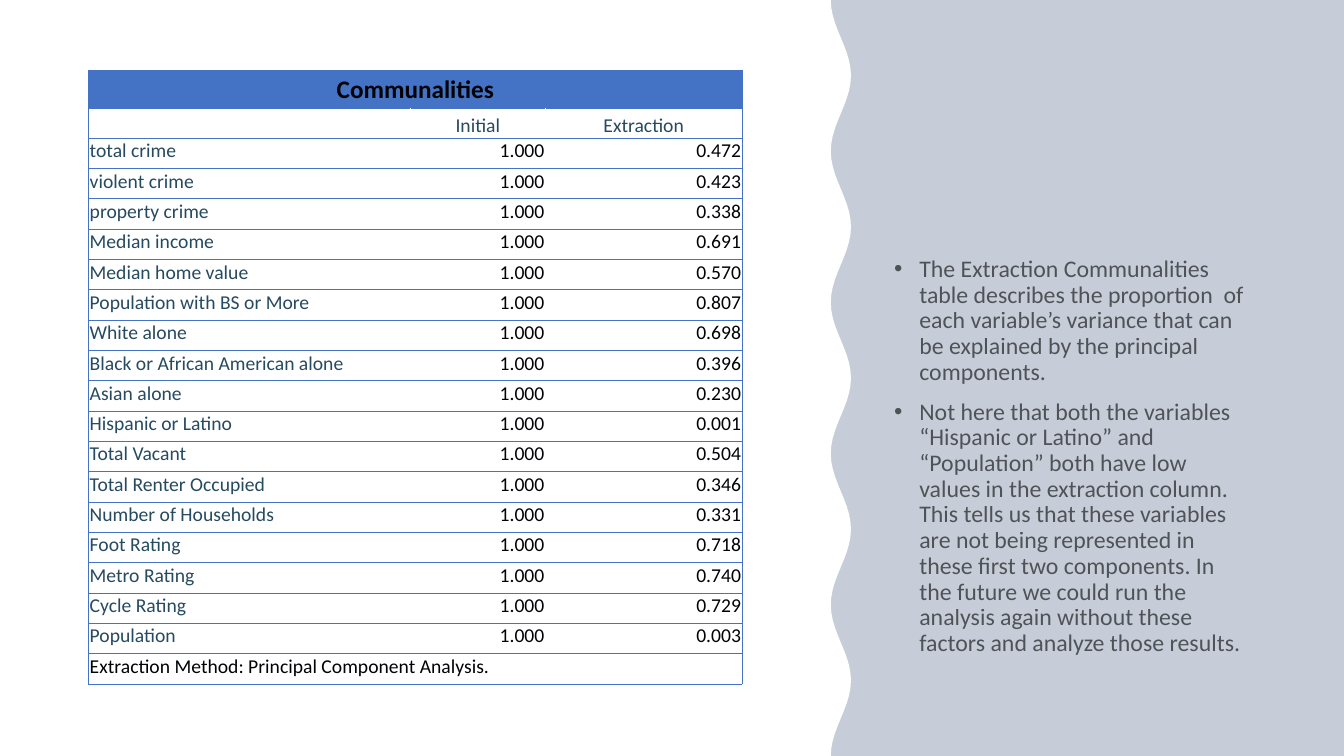
from math import cos, pi

from lxml import etree
from pptx import Presentation
from pptx.dml.color import RGBColor
from pptx.enum.shapes import MSO_SHAPE
from pptx.enum.text import MSO_ANCHOR, PP_ALIGN
from pptx.oxml.ns import qn
from pptx.util import Inches, Pt

RECT = MSO_SHAPE.RECTANGLE
TOP, MIDDLE, BOTTOM = MSO_ANCHOR.TOP, MSO_ANCHOR.MIDDLE, MSO_ANCHOR.BOTTOM
LEFT, CENTER, RIGHT = PP_ALIGN.LEFT, PP_ALIGN.CENTER, PP_ALIGN.RIGHT
WHITE = RGBColor(0xFF, 0xFF, 0xFF)
BLACK = RGBColor(0x00, 0x00, 0x00)
INK = RGBColor(0x01, 0x02, 0x05)
TEAL = RGBColor(0x26, 0x4A, 0x60)
BLUE = RGBColor(0x44, 0x72, 0xC4)
NAVY = RGBColor(0x20, 0x38, 0x64)
FONT = "Calibri"
WIDE, HIGH = 13.33, 7.5
DEPTH, PERIOD, STEPS = 0.2, 1.5, 100

SCORES = [
    ("total crime", "0.472"),
    ("violent crime", "0.423"),
    ("property crime", "0.338"),
    ("Median income", "0.691"),
    ("Median home value", "0.570"),
    ("Population with BS or More", "0.807"),
    ("White alone", "0.698"),
    ("Black or African American alone", "0.396"),
    ("Asian alone", "0.230"),
    ("Hispanic or Latino", "0.001"),
    ("Total Vacant", "0.504"),
    ("Total Renter Occupied", "0.346"),
    ("Number of Households", "0.331"),
    ("Foot Rating", "0.718"),
    ("Metro Rating", "0.740"),
    ("Cycle Rating", "0.729"),
    ("Population", "0.003"),
]
NOTES = [
    "The Extraction Communalities table describes the proportion  of each "
    "variable’s variance that can be explained by the principal components.",
    "Not here that both the variables “Hispanic or Latino” and “Population” "
    "both have low values in the extraction column. This tells us that these "
    "variables are not being represented in these first two components. In the "
    "future we could run the analysis again without these factors and analyze "
    "those results.",
]


def apply(item, values):
    """Set each attribute of the item from a dict."""
    for name, value in values.items():
        setattr(item, name, value)


def paint(shape, color):
    """Give a shape a plain fill with no line or shadow."""
    shape.shadow.inherit = False
    shape.fill.solid()
    shape.fill.fore_color.rgb = color
    shape.line.fill.background()


def fade(item, percent):
    """Make the solid colour under an element partly clear."""
    color = next(item.iter(qn("a:srgbClr")))
    etree.SubElement(color, qn("a:alpha"), val=str(percent * 1000))


def wave(slide, crest, side, color):
    """Draw the area between a wavy edge and one side of the slide."""
    rows = [HIGH * n / STEPS for n in range(STEPS + 1)]
    edge = [(crest - DEPTH / 2 * (1 + cos(2 * pi * y / PERIOD)), y) for y in rows]
    points = [(Inches(x), Inches(y)) for x, y in [(side, 0), *edge, (side, HIGH)]]
    form = slide.shapes.build_freeform(*points[0], scale=1.0)
    form.add_line_segments(points[1:], close=True)
    shape = form.convert_to_shape()
    paint(shape, color)
    return shape


def backdrop(slide, box):
    """Draw the white ground and the two waves."""
    left, top, width, height = box
    ground = slide.shapes.add_shape(RECT, *map(Inches, box))
    paint(ground, WHITE)
    tint = wave(slide, 8.28, left + width, NAVY)
    fade(tint.fill._xPr, 25)
    wave(slide, 8.44, left, WHITE)


def border(cell, sides):
    """Rule the given sides of a cell in blue."""
    props = cell._tc.get_or_add_tcPr()
    for spot, side in enumerate(sides):
        line = etree.Element(qn("a:ln" + side), w=str(Pt(0.5)))
        fill = etree.SubElement(line, qn("a:solidFill"))
        etree.SubElement(fill, qn("a:srgbClr"), val=str(BLUE))
        props.insert(spot, line)


def write(cell, text, color, align, anchor, size=14, bold=False):
    """Fill one cell with styled text."""
    edge = Inches(0.01)
    apply(cell, {"margin_left": edge, "margin_right": edge, "margin_top": edge,
                 "margin_bottom": 0, "vertical_anchor": anchor})
    line = cell.text_frame.paragraphs[0]
    line.alignment = align
    font = line.font
    if text:
        run = line.add_run()
        run.text = text
        font = run.font
    apply(font, {"name": FONT, "size": Pt(size), "bold": bold})
    font.color.rgb = color


def scores(slide, box):
    """Build the table of communalities."""
    rows = [("Communalities", "", ""), ("", "Initial", "Extraction")]
    rows += [(name, "1.000", value) for name, value in SCORES]
    rows.append(("Extraction Method: Principal Component Analysis.", "", ""))
    last = len(rows) - 1
    table = slide.shapes.add_table(len(rows), 3, *map(Inches, box)).table
    apply(table, {"first_row": False, "horz_banding": False})
    for col, width in zip(table.columns, (3.19, 1.34, 1.95)):
        col.width = Inches(width)
    head = 0.37
    for n, row in enumerate(table.rows):
        row.height = Inches((box[3] - head) / last if n else head)
    for n, row in enumerate(rows):
        for k, text in enumerate(row):
            cell = table.cell(n, k)
            if n == 0:
                write(cell, text, INK, CENTER, MIDDLE, 18, True)
                cell.fill.solid()
                cell.fill.fore_color.rgb = BLUE
            else:
                cell.fill.background()
                if n == 1:
                    write(cell, text, TEAL, CENTER, BOTTOM)
                else:
                    color = TEAL if k == 0 and n < last else INK
                    write(cell, text, color, RIGHT if k else LEFT, TOP)
            border(cell, ("LTB", "TB", "RTB")[k])
    for n in (0, last):
        table.cell(n, 0).merge(table.cell(n, 2))
        props = table.cell(n, 0)._tc.tcPr
        props.insert(1, etree.fromstring(etree.tostring(table.cell(n, 2)._tc.tcPr[0])))


def notes(slide, box):
    """Write the bulleted remarks."""
    frame = slide.shapes.add_textbox(*map(Inches, box)).text_frame
    frame.word_wrap = True
    for n, text in enumerate(NOTES):
        line = frame.add_paragraph() if n else frame.paragraphs[0]
        apply(line, {"line_spacing": 0.9, "space_before": Pt(10)})
        props = line._p.get_or_add_pPr()
        props.set("marL", str(Inches(0.25)))
        props.set("indent", str(-Inches(0.25)))
        etree.SubElement(props, qn("a:buFont"), typeface="Arial")
        etree.SubElement(props, qn("a:buChar"), char="•")
        run = line.add_run()
        run.text = text
        apply(run.font, {"name": FONT, "size": Pt(17)})
        run.font.color.rgb = BLACK
        fade(run._r, 60)


def main():
    """Build and save the slide."""
    deck = Presentation()
    apply(deck, {"slide_width": Inches(WIDE), "slide_height": Inches(HIGH)})
    slide = deck.slides.add_slide(deck.slide_layouts[6])
    backdrop(slide, (0, 0, WIDE, HIGH))
    notes(slide, (8.77, 2.5, 3.73, 4.2))
    scores(slide, (0.88, 0.7, 6.49, 6.09))
    deck.save("out.pptx")


if __name__ == "__main__":
    main()
